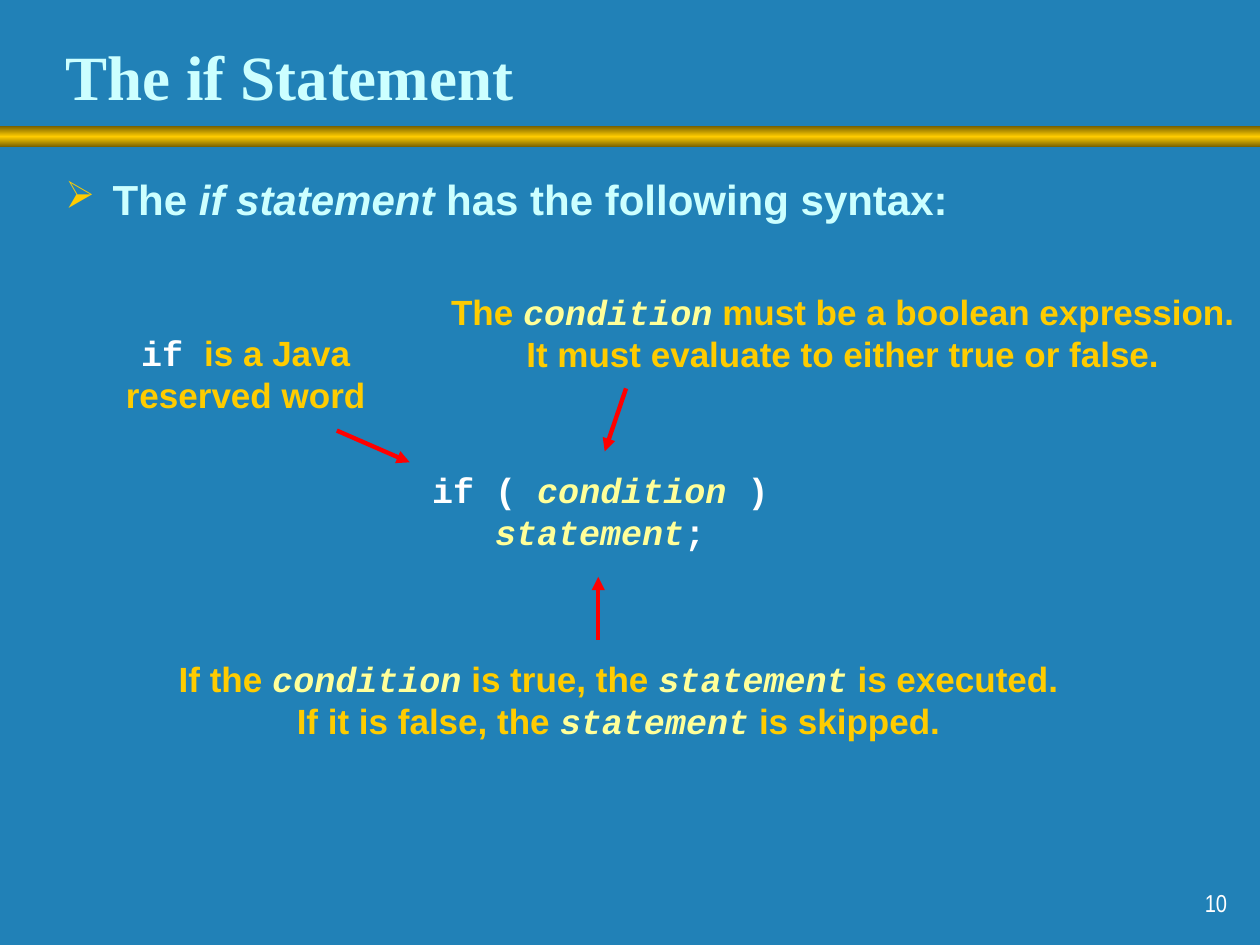
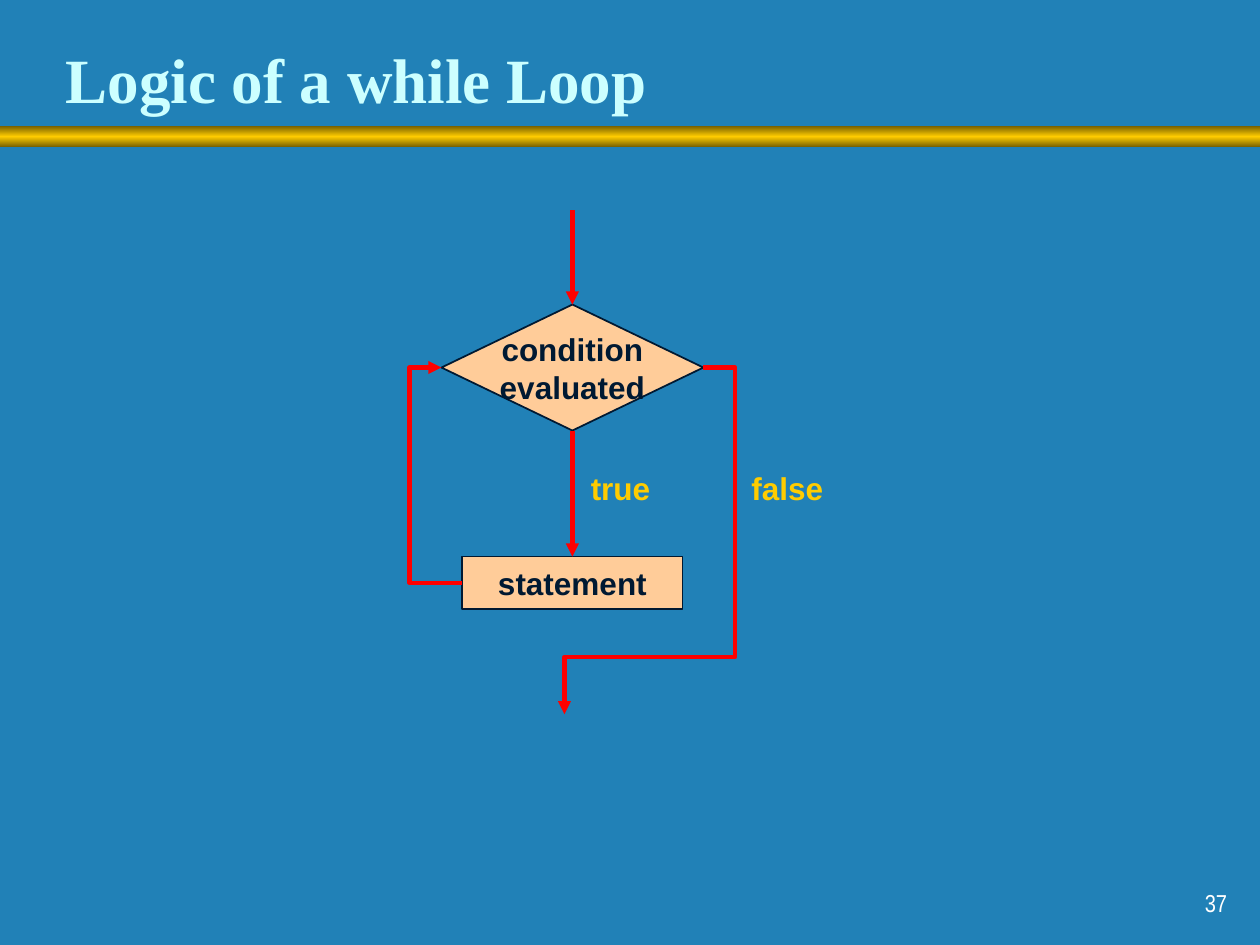
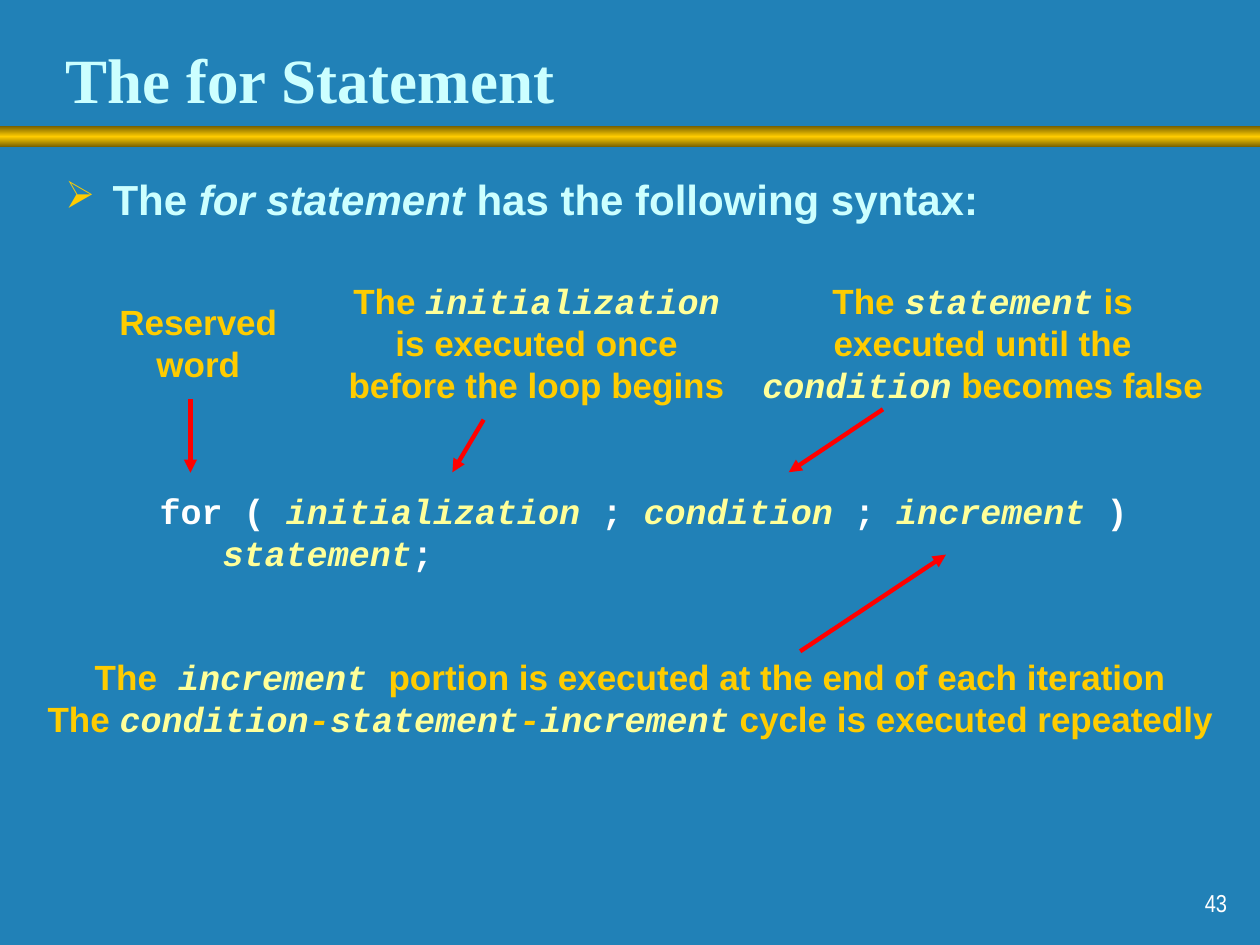
from copy import deepcopy

from lxml import etree
from pptx import Presentation
from pptx.dml.color import RGBColor
from pptx.enum.shapes import MSO_CONNECTOR, MSO_SHAPE
from pptx.enum.text import MSO_ANCHOR, MSO_AUTO_SIZE, PP_ALIGN
from pptx.oxml.ns import qn
from pptx.util import Cm, Pt

STRAIGHT, ELBOW = MSO_CONNECTOR.STRAIGHT, MSO_CONNECTOR.ELBOW
RECTANGLE, DIAMOND = MSO_SHAPE.RECTANGLE, MSO_SHAPE.DIAMOND
TOP, MIDDLE, BOTTOM = MSO_ANCHOR.TOP, MSO_ANCHOR.MIDDLE, MSO_ANCHOR.BOTTOM
LEFT, CENTER, RIGHT = PP_ALIGN.LEFT, PP_ALIGN.CENTER, PP_ALIGN.RIGHT
NO_AUTOFIT = MSO_AUTO_SIZE.NONE

BLUE, ICE, GOLD, DARK_GOLD = "2181B7", "CCFFFF", "FFCC00", "755E00"
WHITE, PALE_YELLOW, RED, PEACH, NAVY = "FFFFFF", "FFFF99", "FF0000", "FFCC99", "001932"
SANS, SERIF, MONO, NARROW = "Arial", "Times New Roman", "Courier New", "Arial Narrow"

SLIDE_WIDTH, SLIDE_HEIGHT = 25.4, 19.05
TITLE_BOX = (1.07, 0.56, 21.72, 1.9)
BAND_BOX = (0, 2.54, SLIDE_WIDTH, 0.43)
LEAD_BOX = (1.07, 3.38, 23.06, 2.18)
PAGE_NUMBER_BOX = (19.71, 17.35, 5.28, 1.27)
BAND_STOPS = ((0, DARK_GOLD), (0.5, GOLD), (1, DARK_GOLD))

RUN_STYLES = {
    "*": {"font": MONO, "color": PALE_YELLOW, "italic": True},
    "~": {"font": MONO, "color": GOLD, "italic": True},
    "`": {"font": MONO, "color": WHITE},
    "/": {"italic": True},
}


def rgb(value):
    """Turn a hex string into a colour."""
    return RGBColor.from_string(value)


def lengths(values):
    """Turn centimetres into slide lengths."""
    return [Cm(value) for value in values]


def write_text(shape, lines, size=20, font=SANS, color=GOLD, bold=True, italic=False,
               align=CENTER, anchor=MIDDLE, wrap=False):
    """Fill a shape with lines whose parts, split by |, may begin with a style mark."""
    frame = shape.text_frame
    frame.word_wrap = wrap
    frame.auto_size = NO_AUTOFIT
    frame.vertical_anchor = anchor
    for index, line in enumerate(lines):
        paragraph = frame.add_paragraph() if index else frame.paragraphs[0]
        paragraph.alignment = align
        for part in line.split("|"):
            marked = RUN_STYLES.get(part[0])
            style = {"font": font, "color": color, "italic": italic, **(marked or {})}
            run = paragraph.add_run()
            run.text = part[1:] if marked else part
            run.font.name = style["font"]
            run.font.size = Pt(size)
            run.font.bold = bold
            run.font.italic = style["italic"]
            run.font.color.rgb = rgb(style["color"])
    return shape


def add_text(slide, box, lines, **text_format):
    """Add a text box."""
    return write_text(slide.shapes.add_textbox(*lengths(box)), lines, **text_format)


def indent(paragraph, left, first=0):
    """Set the left margin and first-line indent and return the properties."""
    properties = paragraph._p.get_or_add_pPr()
    properties.set("marL", str(Cm(left)))
    properties.set("indent", str(Cm(first)))
    return properties


def add_arrow(slide, start, end, kind=STRAIGHT, preset=None, bends=()):
    """Add a red arrow, with the bends of an elbow as fractions of its size."""
    connector = slide.shapes.add_connector(kind, *lengths((*start, *end)))
    connector.line.color.rgb = rgb(RED)
    connector.line.width = Pt(2.5)
    properties = connector._element.spPr
    etree.SubElement(properties.find(qn("a:ln")), qn("a:tailEnd"), type="triangle")
    etree.SubElement(properties, qn("a:effectLst"))
    geometry = properties.find(qn("a:prstGeom"))
    if preset:
        geometry.set("prst", preset)
    for number, bend in enumerate(bends, 1):
        etree.SubElement(geometry.find(qn("a:avLst")), qn("a:gd"),
                         name=f"adj{number}", fmla=f"val {round(bend * 100000)}")


def add_band(slide, box):
    """Add the gold gradient band below the title."""
    band = slide.shapes.add_shape(RECTANGLE, *lengths(box))
    band.shadow.inherit = False
    band.line.fill.background()
    band.fill.gradient()
    band.fill.gradient_angle = 90
    stop_list = band._element.spPr.find(".//" + qn("a:gsLst"))
    stop_list.insert(1, deepcopy(stop_list[0]))
    for stop, (position, color) in zip(band.fill.gradient_stops, BAND_STOPS):
        stop.position = position
        stop.color.rgb = rgb(color)


def add_base_slide(presentation, title, page_number, title_anchor=BOTTOM):
    """Add a slide with its band, title and page number."""
    slide = presentation.slides.add_slide(presentation.slide_layouts[5])
    add_band(slide, BAND_BOX)
    heading = slide.shapes.title
    heading.left, heading.top, heading.width, heading.height = lengths(TITLE_BOX)
    write_text(heading, [title], size=36, font=SERIF, color=ICE, align=LEFT,
               anchor=title_anchor, wrap=True)
    add_text(slide, PAGE_NUMBER_BOX, [str(page_number)], size=14, font=NARROW,
             color=WHITE, bold=False, align=RIGHT, anchor=BOTTOM, wrap=True)
    return slide


def add_lead(slide, box, line):
    """Add the bulleted sentence that introduces the syntax."""
    lead = add_text(slide, box, [line], size=24, color=ICE, align=LEFT, anchor=TOP, wrap=True)
    paragraph = lead.text_frame.paragraphs[0]
    paragraph.space_before = Pt(6)
    properties = indent(paragraph, 0.95, -0.95)
    bullet_color = etree.SubElement(properties, qn("a:buClr"))
    etree.SubElement(bullet_color, qn("a:srgbClr"), val=GOLD)
    etree.SubElement(properties, qn("a:buSzPct"), val="90000")
    etree.SubElement(properties, qn("a:buChar"), char="➢")


def add_code(slide, box, lines):
    """Add the syntax with its second line indented."""
    code = add_text(slide, box, lines, font=MONO, color=WHITE, align=LEFT)
    indent(code.text_frame.paragraphs[1], 1.27)


def add_note(slide, box, lines, start, end):
    """Add an explanation and an arrow measured from its top left corner."""
    left, top = box[:2]
    add_text(slide, box, lines)
    add_arrow(slide, (left + start[0], top + start[1]), (left + end[0], top + end[1]))


def add_syntax_slide(presentation, title, page_number, lead, code_box, code, notes, **options):
    """Add a slide that explains the parts of a statement."""
    slide = add_base_slide(presentation, title, page_number, **options)
    add_lead(slide, LEAD_BOX, lead)
    add_code(slide, code_box, code)
    for note in notes:
        add_note(slide, *note)


def add_flow_node(slide, kind, box, lines):
    """Add a labelled flowchart node."""
    node = slide.shapes.add_shape(kind, *lengths(box))
    node.shadow.inherit = False
    node.fill.solid()
    node.fill.fore_color.rgb = rgb(PEACH)
    node.line.color.rgb = rgb(NAVY)
    node.line.width = Pt(1)
    write_text(node, lines, size=18, color=NAVY)


def add_while_flowchart(slide, box):
    """Add the while loop flowchart inside a box."""
    left, top, width, height = box
    center = left + width / 2
    test_width, test_height, test_top = 5.28, 2.54, top + 1.9
    body_width, body_height, body_top = 4.44, 1.06, top + 6.98
    test_left, body_left = center - test_width / 2, center - body_width / 2
    test_right, test_middle = center + test_width / 2, test_top + test_height / 2
    exit_x = center - 0.16

    add_flow_node(slide, RECTANGLE, (body_left, body_top, body_width, body_height), ["statement"])
    add_flow_node(slide, DIAMOND, (test_left, test_top, test_width, test_height),
                  ["condition", "evaluated"])
    add_arrow(slide, (center, top), (center, test_top))
    add_arrow(slide, (center, test_top + test_height), (center, body_top))
    add_arrow(slide, (body_left, body_top + body_height / 2), (test_left, test_middle), ELBOW,
              bends=[(body_left - left) / (body_left - test_left)])
    add_arrow(slide, (test_right, test_middle), (exit_x, top + height), ELBOW, "bentConnector4",
              bends=[(test_right - left - width) / (test_right - exit_x), 0.835])
    label_top = top + 5.08
    add_text(slide, (center + 0.12, label_top, 1.7, 1.02), ["true"], size=18)
    add_text(slide, (left + width + 0.07, label_top, 1.96, 1.02), ["false"], size=18)


def main():
    """Build the presentation."""
    presentation = Presentation()
    presentation.slide_width, presentation.slide_height = lengths((SLIDE_WIDTH, SLIDE_HEIGHT))
    background = presentation.slide_master.background.fill
    background.solid()
    background.fore_color.rgb = rgb(BLUE)

    add_syntax_slide(
        presentation, "The if Statement", 10,
        "The |/if statement| has the following syntax:",
        (8.46, 9.32, 7.29, 1.96), ["if ( |*condition| )", "*statement|;"],
        [
            ((2.29, 6.55, 5.33, 1.96), ["`if |is a Java", "reserved word"],
             (4.5, 2.13), (5.97, 2.77)),
            ((8.84, 5.72, 16.31, 1.96),
             ["The |*condition| must be a boolean expression.",
              "It must evaluate to either true or false."],
             (3.78, 2.11), (3.35, 3.38)),
            ((3.35, 13.13, 18.24, 1.96),
             ["If the |*condition| is true, the |*statement| is executed.",
              "If it is false, the |*statement| is skipped."],
             (8.71, -0.23), (8.71, -1.5)),
        ],
        title_anchor=MIDDLE)

    while_slide = add_base_slide(presentation, "Logic of a while Loop", 37)
    add_while_flowchart(while_slide, (8.26, 4.24, 6.56, 10.16))

    add_syntax_slide(
        presentation, "The for Statement", 43,
        "The |/for statement| has the following syntax:",
        (2.97, 9.73, 20.02, 1.96),
        ["for ( |*initialization| ; |*condition| ; |*increment| )", "*statement|;"],
        [
            ((2.16, 5.92, 3.68, 1.96), ["Reserved", "word"], (1.68, 2.13), (1.68, 3.61)),
            ((6.78, 5.51, 8.08, 2.79),
             ["The |*initialization", "is executed once", "before the loop begins"],
             (2.97, 2.95), (2.34, 4.01)),
            ((15.11, 5.51, 9.4, 2.79),
             ["The |*statement| is", "executed until the", "*condition| becomes false"],
             (2.69, 2.74), (0.79, 4.01)),
            ((0.71, 13.08, 24, 1.96),
             ["The|* increment |portion is executed at the end of each iteration",
              "The |*condition|~-|*statement|~-|*increment| cycle is executed repeatedly"],
             (15.42, 0.05), (18.36, -1.9)),
        ])
    presentation.save("out.pptx")


if __name__ == "__main__":
    main()
